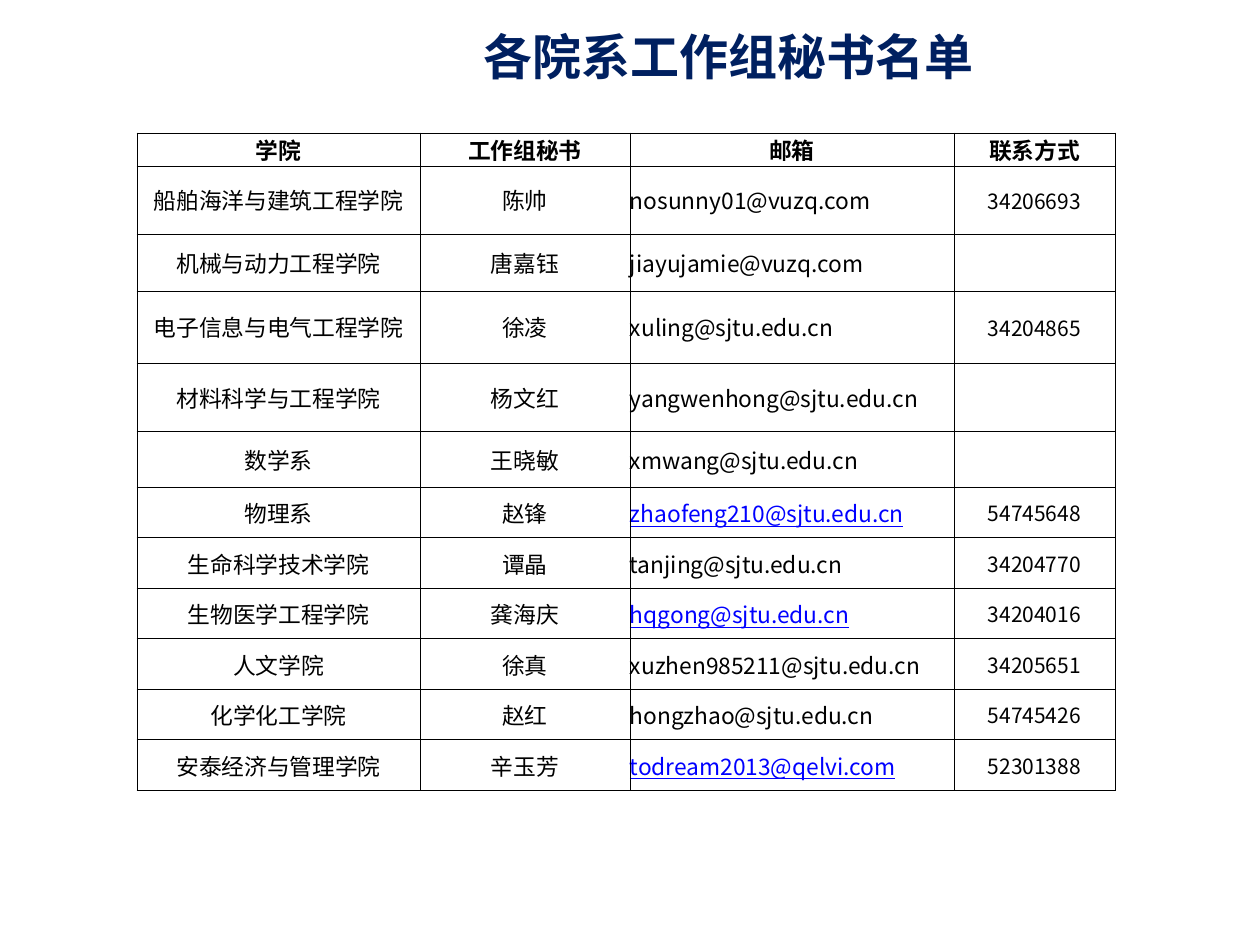
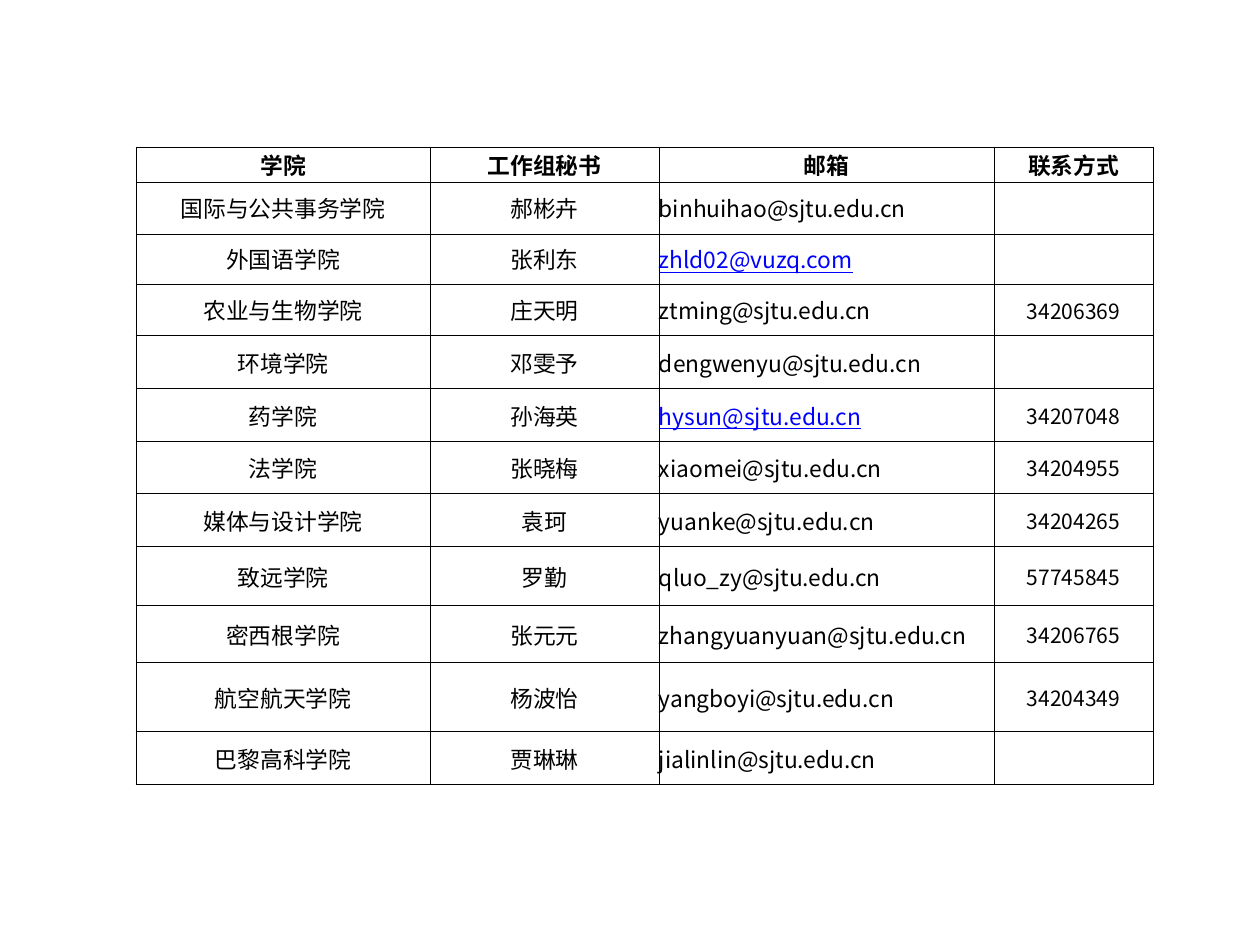
import pptx
import pptx.util
import pptx.dml.color
import pptx.enum.text
import pptx.oxml.ns
import lxml.etree

SCALE = 914400 / 126
FONT = "Noto Sans CJK SC"
NAVY = pptx.dml.color.RGBColor(0x00, 0x20, 0x60)
BLACK = pptx.dml.color.RGBColor(0x00, 0x00, 0x00)
BLUE = pptx.dml.color.RGBColor(0x00, 0x00, 0xFF)
ALIGN = pptx.enum.text.PP_ALIGN
MIDDLE = pptx.enum.text.MSO_ANCHOR.MIDDLE
qn = pptx.oxml.ns.qn

HEAD = ("学院", "工作组秘书", "邮箱", "联系方式")
LINKS = {
    "zhaofeng210@sjtu.edu.cn", "hqgong@sjtu.edu.cn", "todream2013@qelvi.com",
    "zhld02@vuzq.com", "hysun@sjtu.edu.cn",
}
FIRST = [
    ("船舶海洋与建筑工程学院", "陈帅", "nosunny01@vuzq.com", "34206693"),
    ("机械与动力工程学院", "唐嘉钰", "jiayujamie@vuzq.com", ""),
    ("电子信息与电气工程学院", "徐凌", "xuling@sjtu.edu.cn", "34204865"),
    ("材料科学与工程学院", "杨文红", "yangwenhong@sjtu.edu.cn", ""),
    ("数学系", "王晓敏", "xmwang@sjtu.edu.cn", ""),
    ("物理系", "赵锋", "zhaofeng210@sjtu.edu.cn", "54745648"),
    ("生命科学技术学院", "谭晶", "tanjing@sjtu.edu.cn", "34204770"),
    ("生物医学工程学院", "龚海庆", "hqgong@sjtu.edu.cn", "34204016"),
    ("人文学院", "徐真", "xuzhen985211@sjtu.edu.cn", "34205651"),
    ("化学化工学院", "赵红", "hongzhao@sjtu.edu.cn", "54745426"),
    ("安泰经济与管理学院", "辛玉芳", "todream2013@qelvi.com", "52301388"),
]
SECOND = [
    ("国际与公共事务学院", "郝彬卉", "binhuihao@sjtu.edu.cn", ""),
    ("外国语学院", "张利东", "zhld02@vuzq.com", ""),
    ("农业与生物学院", "庄天明", "ztming@sjtu.edu.cn", "34206369"),
    ("环境学院", "邓雯予", "dengwenyu@sjtu.edu.cn", ""),
    ("药学院", "孙海英", "hysun@sjtu.edu.cn", "34207048"),
    ("法学院", "张晓梅", "xiaomei@sjtu.edu.cn", "34204955"),
    ("媒体与设计学院", "袁珂", "yuanke@sjtu.edu.cn", "34204265"),
    ("致远学院", "罗勤", "qluo_zy@sjtu.edu.cn", "57745845"),
    ("密西根学院", "张元元", "zhangyuanyuan@sjtu.edu.cn", "34206765"),
    ("航空航天学院", "杨波怡", "yangboyi@sjtu.edu.cn", "34204349"),
    ("巴黎高科学院", "贾琳琳", "jialinlin@sjtu.edu.cn", ""),
]


def px(count):
    return pptx.util.Emu(round(count * SCALE))


def style(par, size, color, bold=False, line=False, align=ALIGN.CENTER):
    par.alignment = align
    for run in par.runs:
        font = run.font
        font.size = pptx.util.Pt(size)
        font.bold = bold
        font.underline = line
        font.color.rgb = color
        font.name = FONT
        east = lxml.etree.SubElement(font._element, qn("a:ea"))
        east.set("typeface", FONT)


deck = pptx.Presentation()
deck.slide_width = px(1260)
deck.slide_height = px(945)

front = deck.slides.add_slide(deck.slide_layouts[5])
title = front.shapes.title
title.left, title.top, title.width, title.height = px(197), px(10), px(1063), px(91)
title.text_frame.text = "各院系工作组秘书名单"
title.text_frame.vertical_anchor = MIDDLE
style(title.text_frame.paragraphs[0], 28, NAVY, bold=True)

back = deck.slides.add_slide(deck.slide_layouts[6])

lists = [
    (front, 137, 133, [283, 210, 324, 161],
     [33, 68, 57, 72, 69, 56] + [50, 51] * 3, FIRST),
    (back, 136, 147, [294, 229, 335, 159],
     [35, 52, 50, 52, 53, 53, 52, 53, 59, 57, 69, 53], SECOND),
]

for slide, left, top, wides, highs, staff in lists:
    frame = slide.shapes.add_table(
        len(highs), len(wides), px(left), px(top), px(sum(wides)), px(sum(highs)))
    table = frame.table
    table.first_row = False
    table.horz_banding = False
    for col, wide in zip(table.columns, wides):
        col.width = px(wide)
    for row, high in zip(table.rows, highs):
        row.height = px(high)
    for i, words in enumerate([HEAD] + staff):
        for j, word in enumerate(words):
            cell = table.cell(i, j)
            cell.margin_left = cell.margin_right = 0
            cell.margin_top = cell.margin_bottom = 0
            cell.vertical_anchor = MIDDLE
            props = cell._tc.get_or_add_tcPr()
            for side in ("a:lnL", "a:lnR", "a:lnT", "a:lnB"):
                edge = lxml.etree.SubElement(props, qn(side), w="6350")
                fill = lxml.etree.SubElement(edge, qn("a:solidFill"))
                lxml.etree.SubElement(fill, qn("a:srgbClr"), val=str(BLACK))
            cell.fill.background()
            if word:
                cell.text_frame.text = word
                link = word in LINKS
                style(
                    cell.text_frame.paragraphs[0],
                    12 if i and j == 3 else 13,
                    BLUE if link else BLACK,
                    bold=i == 0,
                    line=link,
                    align=ALIGN.LEFT if i and j == 2 else ALIGN.CENTER)

deck.save("out.pptx")
